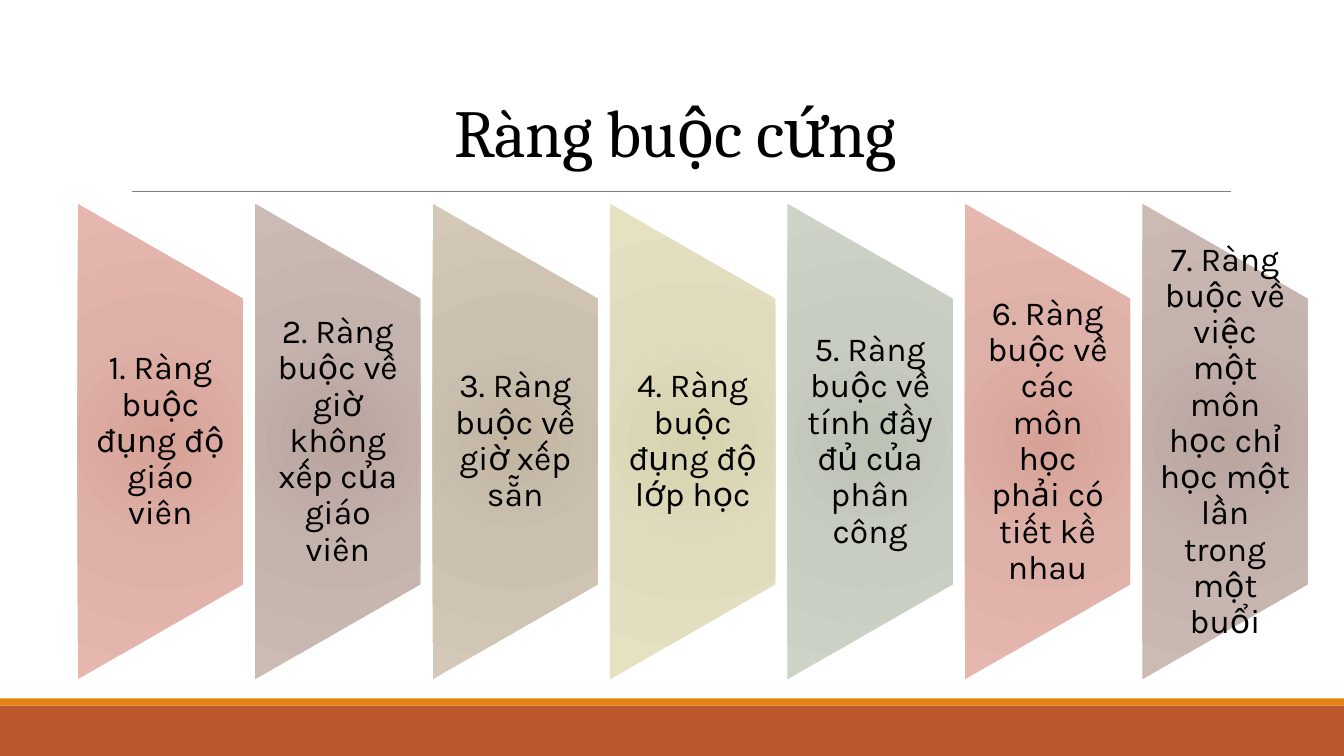
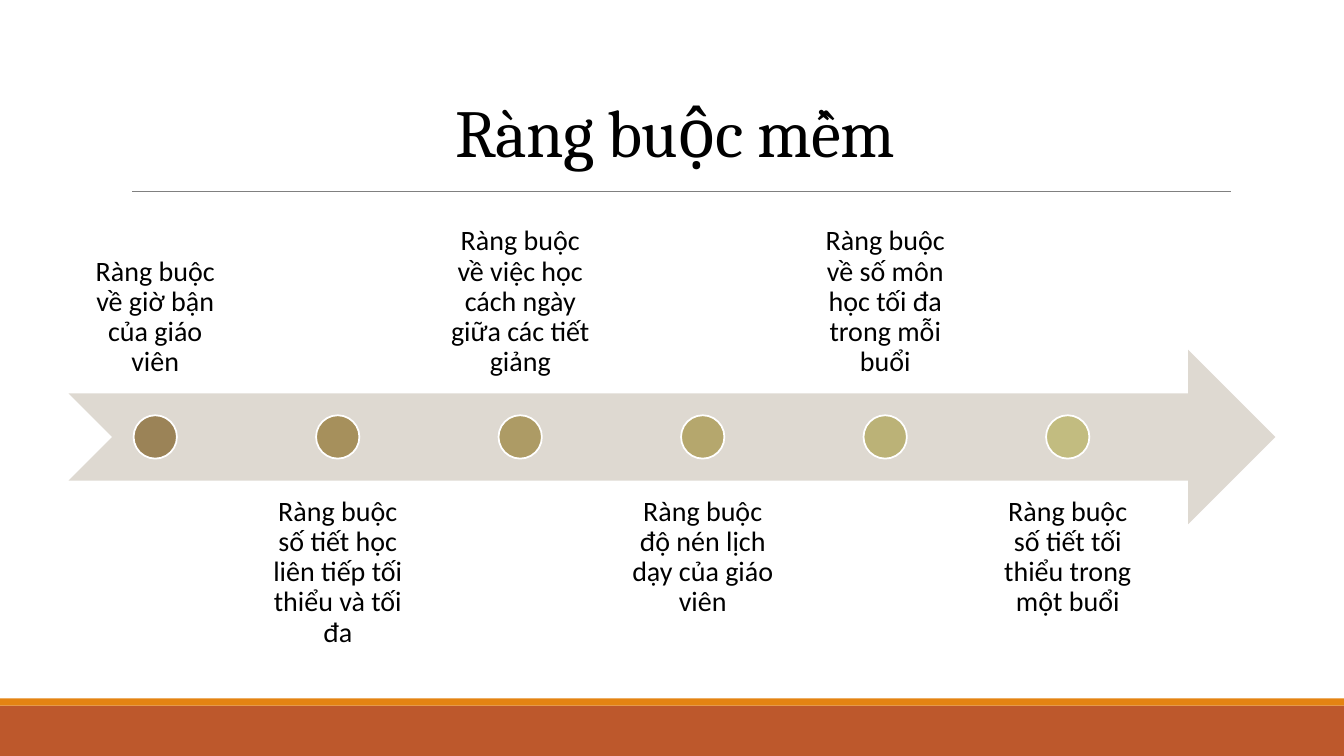
"""Build two slides on hard and soft timetabling constraints."""
from pptx import Presentation
from pptx.dml.color import RGBColor
from pptx.enum.shapes import MSO_CONNECTOR, MSO_SHAPE
from pptx.enum.text import MSO_ANCHOR, PP_ALIGN
from pptx.oxml import parse_xml
from pptx.oxml.ns import nsdecls, qn
from pptx.util import Inches, Pt

RECT, OVAL = MSO_SHAPE.RECTANGLE, MSO_SHAPE.OVAL
ARROW, PANEL = MSO_SHAPE.NOTCHED_RIGHT_ARROW, MSO_SHAPE.FLOWCHART_MANUAL_OPERATION
TOP, MIDDLE, BOTTOM = MSO_ANCHOR.TOP, MSO_ANCHOR.MIDDLE, MSO_ANCHOR.BOTTOM
CENTER = PP_ALIGN.CENTER

COLORS = {"band": "BD582C", "stripe": "E48312", "rule": "808080",
          "text": "000000", "arrow": "DED9D1", "white": "FFFFFF"}
PANEL_GRADIENTS = [
    ("D7A197", "DEB1A8", "E6B7AE"),
    ("B9A49E", "C4B2AD", "CCBAB5"),
    ("C2B5A2", "CCC1B1", "D4C8B8"),
    ("D7D3AF", "DFDBBD", "E5E1C1"),
    ("BBC3B5", "C7CDC1", "CDD4C7"),
]
GRADIENT_STOPS = (0, 45, 100)

HARD_TITLE = "Ràng buộc cứng"
HARD = [
    "1. Ràng buộc đụng độ giáo viên",
    "2. Ràng buộc về giờ không xếp của giáo viên",
    "3. Ràng buộc về giờ xếp sẵn",
    "4. Ràng buộc đụng độ lớp học",
    "5. Ràng buộc về tính đầy đủ của phân công",
    "6. Ràng buộc về các môn học phải có tiết kề nhau",
    "7. Ràng buộc về việc một môn học chỉ học một lần trong một buổi",
]
SOFT_TITLE = "Ràng buộc mềm"
SOFT = [
    ("Ràng buộc về giờ bận của giáo viên", "9B8357"),
    ("Ràng buộc số tiết học liên tiếp tối thiểu và tối đa", "A6905C"),
    ("Ràng buộc về việc học cách ngày giữa các tiết giảng", "AD9B65"),
    ("Ràng buộc độ nén lịch dạy của giáo viên", "B5A76D"),
    ("Ràng buộc về số môn học tối đa trong mỗi buổi", "BBB277"),
    ("Ràng buộc số tiết tối thiểu trong một buổi", "C2BC80"),
]


def rgb(value):
    return RGBColor.from_string(value)


def add_shape(s, kind, box, color):
    sp = s.shapes.add_shape(kind, *map(Inches, box))
    sp.shadow.inherit = False
    sp.fill.solid()
    sp.fill.fore_color.rgb = rgb(color)
    sp.line.fill.background()
    return sp


def add_text(s, text, box, font, size, anchor, insets, spacing=0.9):
    tf = s.shapes.add_textbox(*map(Inches, box)).text_frame
    tf.word_wrap = True
    tf.vertical_anchor = anchor
    tf.margin_left = tf.margin_right = Inches(insets[0])
    tf.margin_top = tf.margin_bottom = Inches(insets[1])
    p = tf.paragraphs[0]
    p.text = text
    p.alignment = CENTER
    p.line_spacing = spacing
    p.font.name = font
    p.font.size = Pt(size)
    p.font.color.rgb = rgb(COLORS["text"])
    return p


def set_radial_fill(sp, colors):
    stops = "".join(
        f'<a:gs pos="{pos * 1000}"><a:srgbClr val="{color}"/></a:gs>'
        for pos, color in zip(GRADIENT_STOPS, colors))
    gradient = parse_xml(
        f'<a:gradFill {nsdecls("a")} rotWithShape="1"><a:gsLst>{stops}</a:gsLst>'
        '<a:path path="circle"><a:fillToRect l="50000" t="50000" r="50000" b="50000"/>'
        '</a:path></a:gradFill>')
    spPr = sp._element.spPr
    spPr.replace(spPr.find(qn("a:solidFill")), gradient)


def add_slide(prs, title):
    s = prs.slides.add_slide(prs.slide_layouts[6])
    add_shape(s, RECT, (0, 7, 13.33, 0.5), COLORS["band"])
    add_shape(s, RECT, (0, 6.93, 13.33, 0.07), COLORS["stripe"])
    rule = s.shapes.add_connector(
        MSO_CONNECTOR.STRAIGHT, *map(Inches, (1.31, 1.9, 12.21, 1.9)))
    rule.line.color.rgb = rgb(COLORS["rule"])
    rule.line.width = Pt(0.5)
    rule._element.spPr.append(parse_xml(f'<a:effectLst {nsdecls("a")}/>'))
    p = add_text(s, title, (1.15, 0.76, 11.1, 0.99), "Cambria", 48, BOTTOM,
                 (0.1, 0.05), 0.85)
    p.runs[0]._r.get_or_add_rPr().set("spc", "-50")
    return s


def build_hard(prs):
    s = add_slide(prs, HARD_TITLE)
    left, pitch, width, length, middle = 0.77, 1.76, 1.64, 4.72, 4.38
    text_height = 2.83
    for i, text in enumerate(HARD):
        x = left + i * pitch
        colors = PANEL_GRADIENTS[i % len(PANEL_GRADIENTS)]
        box = (x + (width - length) / 2, middle - width / 2, length, width)
        sp = add_shape(s, PANEL, box, colors[0])
        sp.rotation = 270
        set_radial_fill(sp, colors)
        add_text(s, text, (x, middle - text_height / 2, width, text_height),
                 "Karla", 24, MIDDLE, (0.17, 0))


def build_soft(prs):
    s = add_slide(prs, SOFT_TITLE)
    left, pitch, width, height, dot = 0.68, 1.81, 1.72, 1.73, 0.43
    arrow_top = 3.47
    add_shape(s, ARROW, (left, arrow_top, 11.97, height), COLORS["arrow"])
    for i, (text, color) in enumerate(SOFT):
        x = left + i * pitch
        y, anchor = (4.77, TOP) if i % 2 else (2.18, BOTTOM)
        add_text(s, text, (x, y, width, height), "Calibri", 20, anchor, (0.16, 0.16))
        box = (x + (width - dot) / 2, arrow_top + (height - dot) / 2, dot, dot)
        sp = add_shape(s, OVAL, box, color)
        sp.line.color.rgb = rgb(COLORS["white"])
        sp.line.width = Pt(1.25)


def main():
    prs = Presentation()
    prs.slide_width, prs.slide_height = Inches(13.33), Inches(7.5)
    build_hard(prs)
    build_soft(prs)
    prs.save("out.pptx")


if __name__ == "__main__":
    main()
